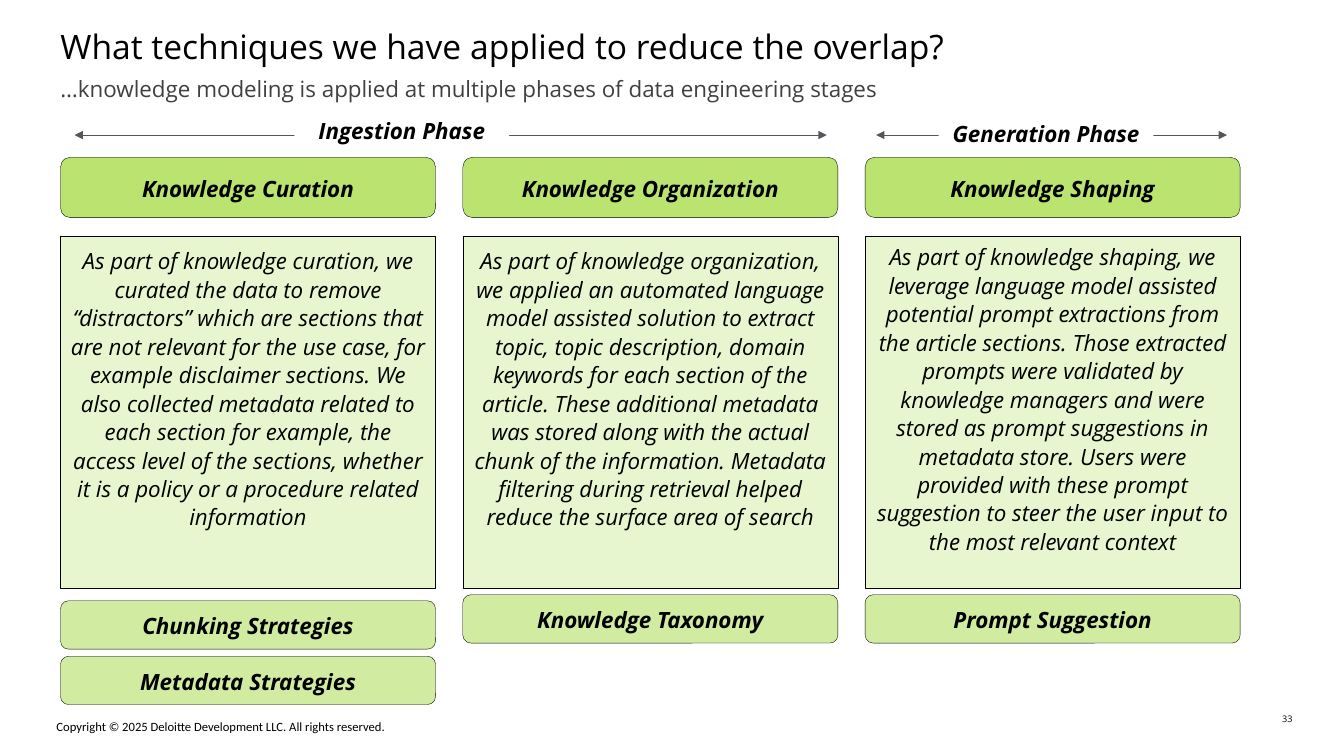
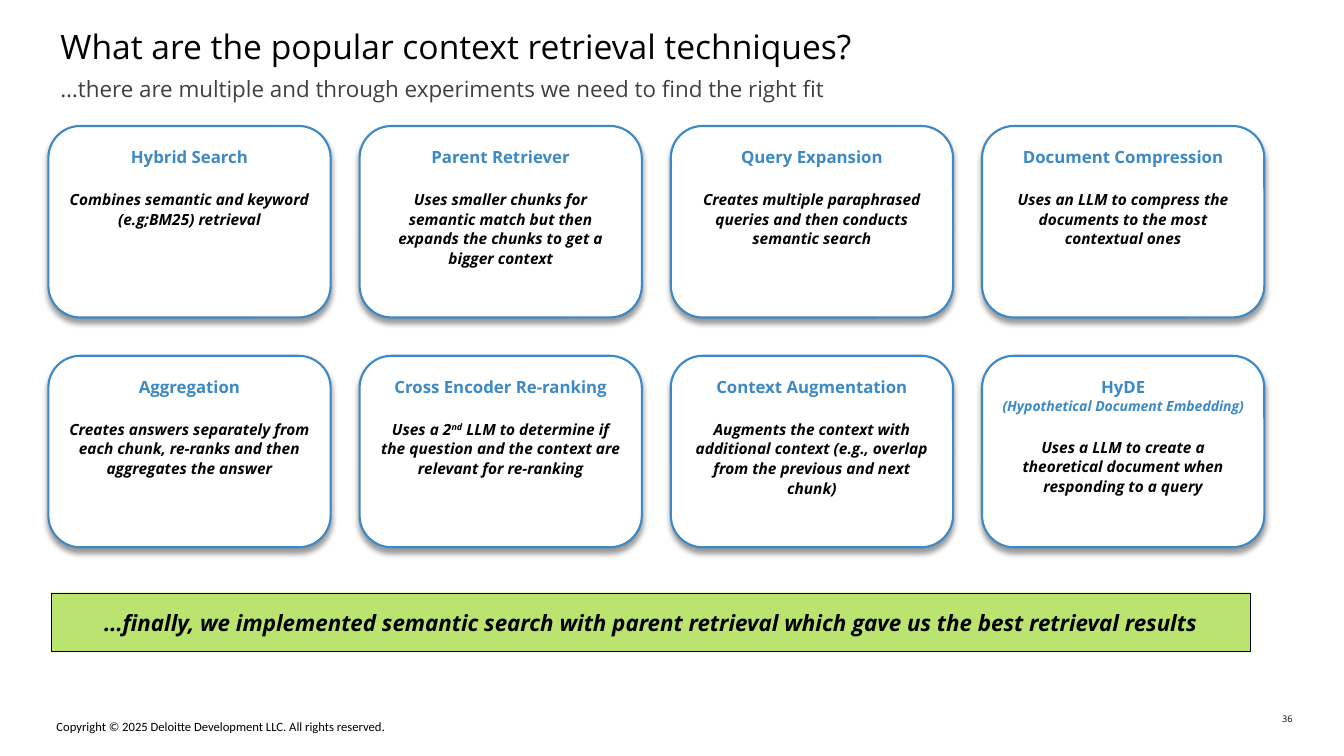
from lxml import etree
from pptx import Presentation
from pptx.dml.color import RGBColor
from pptx.enum.shapes import MSO_CONNECTOR, MSO_SHAPE
from pptx.enum.text import MSO_ANCHOR, MSO_AUTO_SIZE, PP_ALIGN
from pptx.oxml.ns import qn
from pptx.util import Inches, Pt

BLACK, WHITE, GREY, ARROW_GREY = "000000", "FFFFFF", "404040", "53565A"
GREEN, MID_GREEN, PALE_GREEN, BLUE = "BAE370", "D1ECA0", "E8F6CF", "3C89C5"
FONT = "Open Sans"
COPYRIGHT = "Copyright © 2025 Deloitte Development LLC. All rights reserved."
LINE_SPACING = 1.06
INSET = 0.1

# Grid of the phases slide
COLUMN_LEFT, COLUMN_WIDTH, COLUMN_PITCH = 0.6, 3.72, 3.99
HEADER_TOP, DETAIL_TOP, STRATEGY_PITCH = 1.56, 2.34, 0.55

# Grid of the techniques slide
CARD_LEFT, CARD_RIGHT, CARDS_PER_ROW = 0.48, 12.54, 4
CARD_TOP, CARD_WIDTH, CARD_HEIGHT, CARD_ROW_PITCH = 1.25, 2.8, 1.9, 2.28
CARD_PITCH = (CARD_RIGHT - CARD_LEFT - CARD_WIDTH) / (CARDS_PER_ROW - 1)

# Phase: label, label left, label top, arrow start, arrow end
PHASES = [
    ("Ingestion Phase", 2.92, 1.15, 0.74, 8.2),
    ("Generation Phase", 9.31, 1.18, 8.69, 12.17),
]
# Stage: heading, detail, top inset of detail, strategies, top of strategies
STAGES = [
    ("Knowledge Curation",
     "As part of knowledge curation, we curated the data to remove “distractors” "
     "which are sections that are not relevant for the use case, for example "
     "disclaimer sections. We also collected metadata related to each section for "
     "example, the access level of the sections, whether it is a policy or a "
     "procedure related information",
     INSET, ["Chunking Strategies", "Metadata Strategies"], 5.96),
    ("Knowledge Organization",
     "As part of knowledge organization, we applied an automated language model "
     "assisted solution to extract topic, topic description, domain keywords for "
     "each section of the article. These additional metadata was stored along with "
     "the actual chunk of the information. Metadata filtering during retrieval "
     "helped reduce the surface area of search",
     INSET, ["Knowledge Taxonomy"], 5.9),
    ("Knowledge Shaping",
     "As part of knowledge shaping, we leverage language model assisted potential "
     "prompt extractions from the article sections. Those extracted prompts were "
     "validated by knowledge managers and were stored as prompt suggestions in "
     "metadata store. Users were provided with these prompt suggestion to steer the "
     "user input to the most relevant context",
     0.06, ["Prompt Suggestion"], 5.9),
]
# Technique: name, expansion of the name, description (^ encloses superscript)
TECHNIQUES = [
    ("Hybrid Search", "", "Combines semantic and keyword (e.g;BM25) retrieval"),
    ("Parent Retriever", "",
     "Uses smaller chunks for semantic match but then expands the chunks to get a "
     "bigger context"),
    ("Query Expansion", "",
     "Creates multiple paraphrased queries and then conducts semantic search"),
    ("Document Compression", "",
     "Uses an LLM to compress the documents to the most contextual ones"),
    ("Aggregation", "",
     "Creates answers separately from each chunk, re-ranks and then aggregates the "
     "answer"),
    ("Cross Encoder Re-ranking", "",
     "Uses a 2^nd^ LLM to determine if the question and the context are relevant "
     "for re-ranking"),
    ("Context Augmentation", "",
     "Augments the context with additional context (e.g., overlap from the previous "
     "and next chunk)"),
    ("HyDE", "(Hypothetical Document Embedding)",
     "Uses a LLM to create a theoretical document when responding to a query"),
]


def rgb(hex_color):
    return RGBColor.from_string(hex_color)


def inches(*lengths):
    return [Inches(length) for length in lengths]


def add_xml(parent, tag, **attributes):
    return etree.SubElement(parent, qn(tag), attributes)


def format_font(paragraph, size, color=BLACK, bold=False, italic=False, name=FONT):
    font = paragraph.font
    font.name, font.size, font.bold, font.italic = name, Pt(size), bold, italic
    font.color.rgb = rgb(color)


def set_insets(frame, inset, top=None):
    frame.margin_left = frame.margin_right = frame.margin_bottom = Inches(inset)
    frame.margin_top = Inches(inset if top is None else top)


def write(paragraph, text, size, **style):
    """Fill a centred paragraph; text between ^ marks is superscript."""
    for position, part in enumerate(text.split("^")):
        run = paragraph.add_run()
        run.text = part
        if position % 2:
            run._r.get_or_add_rPr().set("baseline", "30000")
    paragraph.alignment = PP_ALIGN.CENTER
    paragraph.line_spacing = LINE_SPACING
    format_font(paragraph, size, **style)


def add_panel(slide, place, fill, line=BLACK, line_width=0.25,
              preset=MSO_SHAPE.RECTANGLE, anchor=MSO_ANCHOR.MIDDLE, top_inset=INSET):
    panel = slide.shapes.add_shape(preset, *inches(*place))
    panel.shadow.inherit = False
    panel.fill.solid()
    panel.fill.fore_color.rgb = rgb(fill)
    if line:
        panel.line.color.rgb = rgb(line)
        panel.line.width = Pt(line_width)
    else:
        panel.line.fill.background()
    frame = panel.text_frame
    frame.word_wrap = True
    frame.vertical_anchor = anchor
    set_insets(frame, INSET, top_inset)
    return panel


def add_label(slide, text, place, fill, bold=True, **panel_style):
    panel = add_panel(slide, place, fill, **panel_style)
    write(panel.text_frame.paragraphs[0], text, 16, bold=bold, italic=True)


def add_arrow(slide, start, end, y):
    """Draw a horizontal line with an arrowhead at both ends."""
    arrow = slide.shapes.add_connector(MSO_CONNECTOR.STRAIGHT, *inches(start, y, end, y))
    arrow.line.color.rgb = rgb(ARROW_GREY)
    arrow.line.width = Pt(0.75)
    outline = arrow.line._get_or_add_ln()
    for tag in ("a:headEnd", "a:tailEnd"):
        add_xml(outline, tag, type="triangle")
    add_xml(arrow._element.spPr, "a:effectLst")


def add_shadow(shape):
    effects = shape._element.spPr.find(qn("a:effectLst"))
    shadow = add_xml(effects, "a:outerShdw", blurRad=str(Pt(4)), dist=str(Pt(3)),
                     dir="5400000", algn="t", rotWithShape="0")
    color = add_xml(shadow, "a:srgbClr", val=BLACK)
    add_xml(color, "a:alpha", val="40000")


def fill_placeholder(placeholder, text, place, size, color):
    placeholder.left, placeholder.top, placeholder.width, placeholder.height = inches(*place)
    frame = placeholder.text_frame
    frame.text = text
    frame.auto_size = MSO_AUTO_SIZE.NONE
    frame.vertical_anchor = MSO_ANCHOR.TOP
    set_insets(frame, 0)
    paragraph = frame.paragraphs[0]
    paragraph.alignment = PP_ALIGN.LEFT
    paragraph.space_before = Pt(0)
    properties = paragraph._p.get_or_add_pPr()
    properties.set("marL", "0")
    properties.set("indent", "0")
    add_xml(properties, "a:buNone")
    format_font(paragraph, size, color)


def add_footer_text(slide, text, place, size, name, alignment):
    frame = slide.shapes.add_textbox(*inches(*place)).text_frame
    frame.word_wrap = True
    set_insets(frame, 0)
    paragraph = frame.paragraphs[0]
    paragraph.text = text
    paragraph.alignment = alignment
    format_font(paragraph, size, name=name)


def add_slide(deck, title, subtitle, number):
    slide = deck.slides.add_slide(deck.slide_layouts[1])
    fill_placeholder(slide.shapes.title, title, (0.6, 0.26, 10.53, 0.49), 24, BLACK)
    fill_placeholder(slide.placeholders[1], subtitle, (0.6, 0.75, 12.25, 0.5), 16, GREY)
    add_footer_text(slide, COPYRIGHT, (0.56, 7.13, 5.86, 0.15), 9, "Calibri",
                    PP_ALIGN.LEFT)
    add_footer_text(slide, number, (12.48, 7.08, 0.34, 0.11), 6.5, FONT, PP_ALIGN.RIGHT)
    return slide


def add_phase(slide, text, left, top, start, end):
    add_arrow(slide, start, end, 1.34)
    add_label(slide, text, (left, top, 2.13, 0.28), WHITE, line=None)


def add_stage(slide, column, heading, detail, detail_inset, strategies, strategies_top):
    left = COLUMN_LEFT + column * COLUMN_PITCH
    rounded = MSO_SHAPE.ROUNDED_RECTANGLE
    add_label(slide, heading, (left, HEADER_TOP, COLUMN_WIDTH, 0.6), GREEN, preset=rounded)
    add_label(slide, detail, (left, DETAIL_TOP, COLUMN_WIDTH, 3.5), PALE_GREEN,
              bold=False, anchor=MSO_ANCHOR.TOP, top_inset=detail_inset)
    for row, strategy in enumerate(strategies):
        top = strategies_top + row * STRATEGY_PITCH
        add_label(slide, strategy, (left, top, COLUMN_WIDTH, 0.48), MID_GREEN,
                  preset=rounded)


def add_card(slide, index, name, expansion, description):
    row, column = divmod(index, CARDS_PER_ROW)
    place = (CARD_LEFT + column * CARD_PITCH, CARD_TOP + row * CARD_ROW_PITCH,
             CARD_WIDTH, CARD_HEIGHT)
    card = add_panel(slide, place, WHITE, BLUE, 1.5, MSO_SHAPE.ROUNDED_RECTANGLE,
                     MSO_ANCHOR.TOP)
    add_shadow(card)
    frame = card.text_frame
    write(frame.paragraphs[0], name, 12, color=BLUE, bold=True)
    if expansion:
        write(frame.add_paragraph(), expansion, 10, color=BLUE, bold=True, italic=True)
    body = frame.add_paragraph()
    body.space_before = Pt(16)
    write(body, description, 11, bold=True, italic=True)


def add_phases_slide(deck):
    slide = add_slide(deck, "What techniques we have applied to reduce the overlap?",
                      "…knowledge modeling is applied at multiple phases of data "
                      "engineering stages", "33")
    for column, stage in enumerate(STAGES):
        add_stage(slide, column, *stage)
    for phase in PHASES:
        add_phase(slide, *phase)


def add_techniques_slide(deck):
    slide = add_slide(deck, "What are the popular context retrieval techniques?",
                      "…there are multiple and through experiments we need to find "
                      "the right fit", "36")
    for index, technique in enumerate(TECHNIQUES):
        add_card(slide, index, *technique)
    add_label(slide, "…finally, we implemented semantic search with parent retrieval "
              "which gave us the best retrieval results", (0.51, 5.88, 11.89, 0.58), GREEN)


def main():
    deck = Presentation()
    deck.slide_width, deck.slide_height = inches(13.33, 7.5)
    add_phases_slide(deck)
    add_techniques_slide(deck)
    deck.save("out.pptx")


if __name__ == "__main__":
    main()
